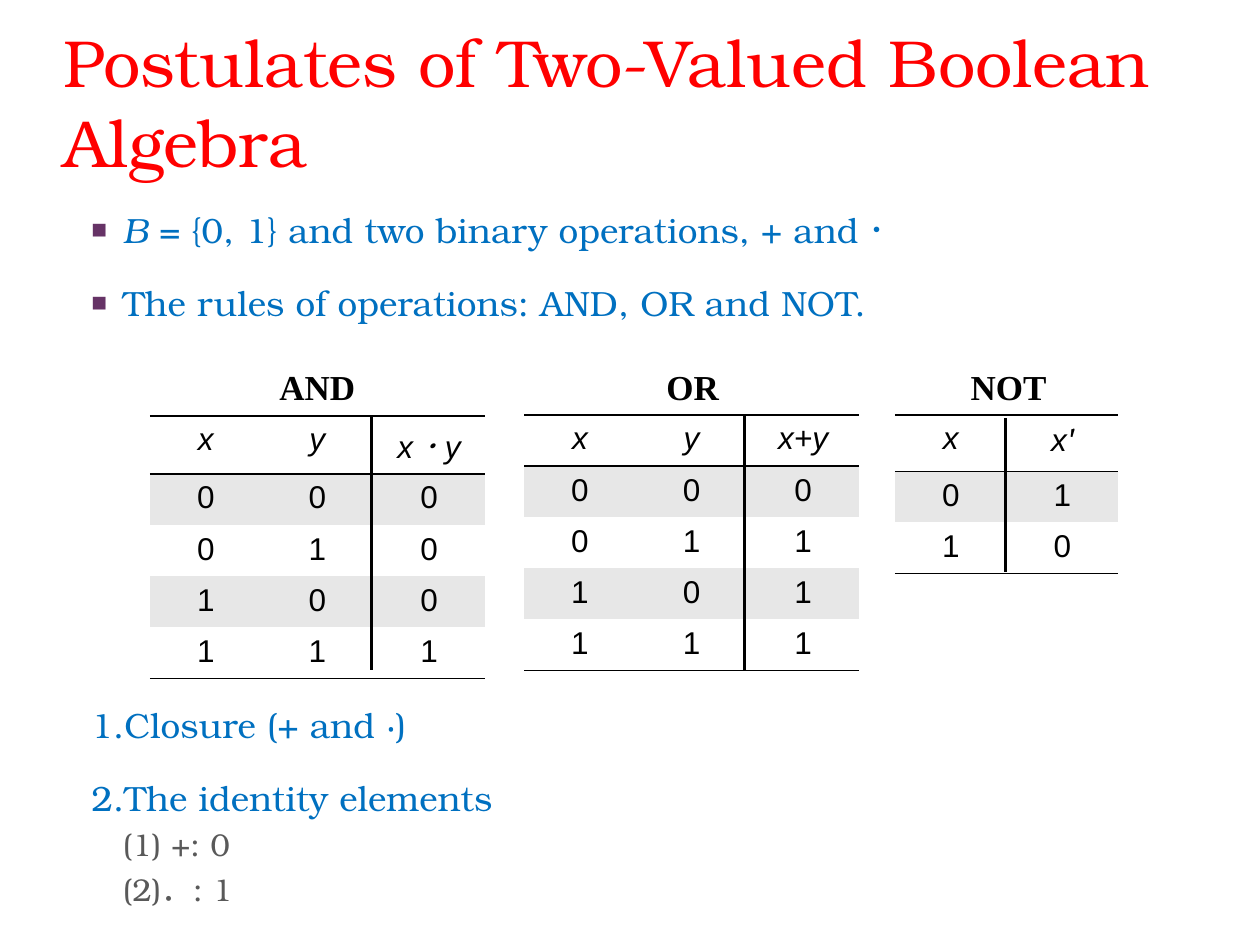
import pptx
import pptx.util
import pptx.dml.color
import pptx.enum.shapes
import pptx.enum.text
import pptx.oxml.ns
from dataclasses import dataclass
from lxml import etree

Pt = pptx.util.Pt
ALIGN = pptx.enum.text.PP_ALIGN
ANCHOR = pptx.enum.text.MSO_ANCHOR
FIT = pptx.enum.text.MSO_AUTO_SIZE
NO_GRID = "{2D5ABB26-0587-4C30-8999-92F81FD0307C}"


@dataclass(frozen=True)
class Theme:
    serif: str = "TeX Gyre Bonum"
    sans: str = "Arial"
    label: str = "Times New Roman"
    prime: str = "Vollkorn"
    red: str = "FF0000"
    blue: str = "0070C0"
    grey: str = "595959"
    plum: str = "663366"
    black: str = "000000"
    white: str = "FFFFFF"
    band: str = "E7E7E7"
    big: int = 38
    main: int = 20
    small: int = 18


T = Theme()
SIDE, ROW = 63.8, 29.2  # width and height of a truth-table cell
TRUTH = [
    # label, label left, label width, left, top, line x, line top, line end, rows
    ("AND", 152.6, 57.6, 85.7, 237.6, 212.4, 237.6, 383,
     ["x y x．y", "0 0 0", "0 1 0", "1 0 0", "1 1 1"]),
    ("OR", 373.7, 46, 299.5, 237.2, 425.5, 237.6, 383,
     ["x y x+y", "0 0 0", "0 1 1", "1 0 1", "1 1 1"]),
    ("NOT", 547.6, 57.6, 511.4, 237, 574.6, 239, 326.9,
     ["x x'", "0 1", "1 0"]),
]


def color(code):
    return pptx.dml.color.RGBColor.from_string(code)


def node(parent, tag, **attrs):
    return etree.SubElement(parent, pptx.oxml.ns.qn(tag), attrs)


def style(run, face, size, code, bold=False, italic=False):
    font = run.font
    font.name, font.size = face, Pt(size)
    font.bold, font.italic = bold, italic
    font.color.rgb = color(code)


def raise_dot(run):
    """Mark the run as Traditional Chinese, which centres its wide dot."""
    run._r.get_or_add_rPr().set("lang", "zh-TW")


def place(shape, *box):
    shape.left, shape.top, shape.width, shape.height = map(Pt, box)


def add_title(slide, text):
    title = slide.shapes.title
    place(title, 36, 12.2, 684, 56.2)
    frame = title.text_frame
    frame.text = text
    frame.word_wrap, frame.auto_size = True, FIT.NONE
    frame.vertical_anchor = ANCHOR.TOP
    frame.margin_left = frame.margin_right = 0
    frame.margin_top = frame.margin_bottom = 0
    para = frame.paragraphs[0]
    para.alignment = ALIGN.LEFT
    style(para.runs[0], T.serif, T.big, T.red)


def set_mark(para, mark):
    """Indent the paragraph and give it a square, a number or no bullet."""
    props = para._p.get_or_add_pPr()
    props.set("marL", str(Pt(18 * (para.level + 1))))
    props.set("indent", str(Pt(-18)))
    if mark == "none":
        node(props, "a:buNone")
        return
    tint = T.plum if mark == "square" else T.blue
    node(node(props, "a:buClr"), "a:srgbClr", val=tint)
    if mark == "square":
        node(props, "a:buSzPct", val="75000")
        node(props, "a:buFont", typeface=T.sans)
        node(props, "a:buChar", char="■")
    else:
        node(props, "a:buFont", typeface=T.serif)
        node(props, "a:buAutoNum", type="arabicPeriod")


def add_body(slide):
    body = slide.placeholders[1]
    place(body, 45, 118.1, 675, 409.7)
    frame = body.text_frame
    frame.word_wrap, frame.auto_size = True, FIT.NONE
    frame.vertical_anchor = ANCHOR.TOP
    items = [
        ("B", "square", 0, 20),
        ("The rules of operations: AND, OR and NOT.", "square", 0, 20),
        ("Closure (+ and ‧)", "number", 0, 220),
        ("The identity elements", "number", 0, 20),
        ("(1) +: 0", "none", 1, 6),
        ("(2)．: 1", "none", 1, 6),
    ]
    for i, (text, mark, level, gap) in enumerate(items):
        para = frame.add_paragraph() if i else frame.paragraphs[0]
        para.text, para.level = text, level
        para.line_spacing = 0.9
        para.space_before, para.space_after = Pt(gap), Pt(0)
        set_mark(para, mark)
        look = (T.small, T.grey) if level else (T.main, T.blue)
        style(para.runs[0], T.serif, *look, italic=not i)
    rest = frame.paragraphs[0].add_run()
    rest.text = " = {0, 1} and two binary operations, + and．"
    style(rest, T.serif, T.main, T.blue)
    raise_dot(rest)


def rule(cell, drawn):
    """Draw black borders on the named sides of a cell and clear the others."""
    props = cell._tc.get_or_add_tcPr()
    for side in "LRTB":
        line = node(props, "a:ln" + side, w=str(Pt(0.96)))
        if side in drawn:
            node(node(line, "a:solidFill"), "a:srgbClr", val=T.black)
        else:
            node(line, "a:noFill")


def fill_cell(cell, text, row, last):
    para = cell.text_frame.paragraphs[0]
    para.text = text.rstrip("'")
    para.alignment = ALIGN.CENTER
    style(para.runs[0], T.sans, T.small, T.black, italic=row == 0)
    if "．" in text:
        raise_dot(para.runs[0])
    if text.endswith("'"):
        prime = para.add_run()
        prime.text = "'"
        style(prime, T.prime, T.small, T.black, bold=True, italic=True)
    rule(cell, ("T" if row < 2 else "") + ("B" if row in (0, last) else ""))
    cell.fill.solid()
    cell.fill.fore_color.rgb = color(T.band if row % 2 else T.white)


def add_truth(slide, left, top, lines):
    rows = [line.split() for line in lines]
    high, wide = len(rows), len(rows[0])
    table = slide.shapes.add_table(
        high, wide, Pt(left), Pt(top), Pt(wide * SIDE), Pt(high * ROW)).table
    table.first_row = table.horz_banding = False
    table._tbl.tblPr.find(pptx.oxml.ns.qn("a:tableStyleId")).text = NO_GRID
    for col in table.columns:
        col.width = Pt(SIDE)
    for r, row in enumerate(rows):
        table.rows[r].height = Pt(ROW)
        for c, text in enumerate(row):
            fill_cell(table.cell(r, c), text, r, high - 1)


def add_line(slide, x, top, end):
    line = slide.shapes.add_connector(
        pptx.enum.shapes.MSO_CONNECTOR.STRAIGHT, Pt(x), Pt(top), Pt(x), Pt(end))
    line.line.color.rgb = color(T.black)
    line.line.width = Pt(2)
    node(line._element.spPr, "a:effectLst")


def add_label(slide, text, left, width):
    box = slide.shapes.add_textbox(Pt(left), Pt(205.2), Pt(width), Pt(31.7))
    frame = box.text_frame
    frame.text = text
    frame.word_wrap, frame.auto_size = False, FIT.SHAPE_TO_FIT_TEXT
    style(frame.paragraphs[0].runs[0], T.label, T.main, T.black, bold=True)


def main():
    deck = pptx.Presentation()
    deck.slide_width, deck.slide_height = Pt(720), Pt(540)
    slide = deck.slides.add_slide(deck.slide_layouts[1])
    add_title(slide, "Postulates of Two-Valued Boolean Algebra")
    add_body(slide)
    for _, _, _, left, top, _, _, _, lines in TRUTH:
        add_truth(slide, left, top, lines)
    for label, start, width, _, _, x, head, end, _ in TRUTH:
        add_line(slide, x, head, end)
        add_label(slide, label, start, width)
    deck.save("out.pptx")


if __name__ == "__main__":
    main()
